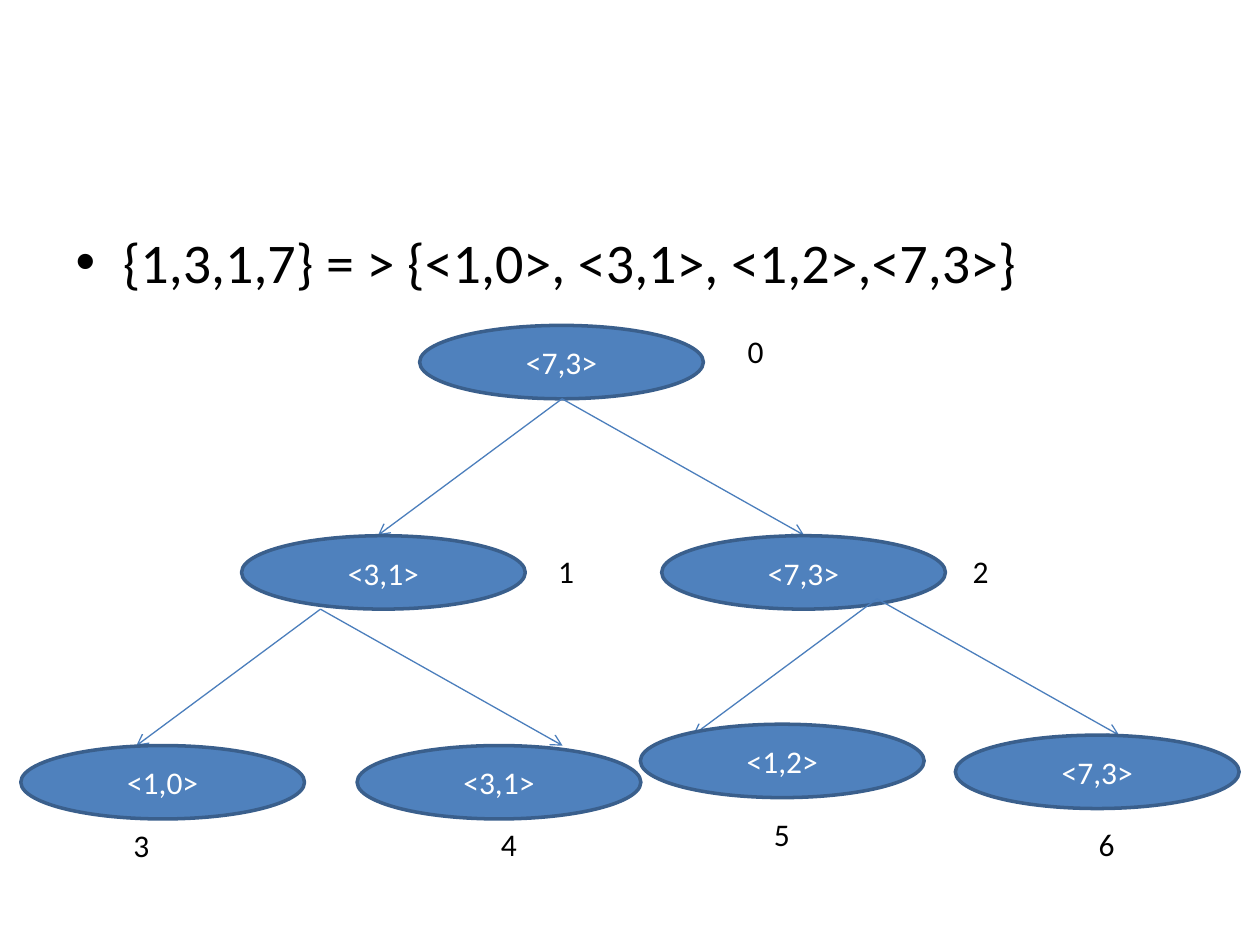
"""Build a slide showing a max segment tree over value and index pairs."""
import pptx
import pptx.util
import pptx.dml.color
import pptx.enum.shapes
import pptx.enum.text
import pptx.oxml.ns
import lxml.etree

Cm, Pt = pptx.util.Cm, pptx.util.Pt
RGB = pptx.dml.color.RGBColor.from_string
SHAPE = pptx.enum.shapes.MSO_SHAPE
CONNECTOR = pptx.enum.shapes.MSO_CONNECTOR
ALIGN = pptx.enum.text.PP_ALIGN
ANCHOR = pptx.enum.text.MSO_ANCHOR
qn = pptx.oxml.ns.qn

THEME = {
    "font": "Calibri", "body_size": Pt(32), "node_size": Pt(18),
    "fill": RGB("4F81BD"), "outline": RGB("3A5F8C"), "arrow": RGB("4B7EBC"),
    "dark": RGB("000000"), "light": RGB("FFFFFF"),
    "outline_width": Pt(2), "arrow_width": Pt(0.75),
}
NODE_W, NODE_H = 5.72, 1.48
LABEL_W, LABEL_H = 0.97, 1.03
FORK_DX, FORK_DY = (4.88, -3.71), 2.75

LEVELS = [
    {"nodes": [("<7,3>", 8.46, 6.56)],
     "labels": [("0", 14.82, 6.56)],
     "forks": [(11.33, 8.04)]},
    {"nodes": [("<3,1>", 4.87, 10.8), ("<7,3>", 13.34, 10.8)],
     "labels": [("1", 11, 11), ("2", 19.36, 11)],
     "forks": [(6.46, 12.28), (17.68, 12.07)]},
    {"nodes": [("<1,0>", 0.42, 15.03), ("<3,1>", 7.2, 15.03),
               ("<1,2>", 12.91, 14.6), ("<7,3>", 19.26, 14.82)],
     "labels": [("3", 2.44, 16.53), ("4", 9.85, 16.51),
                ("5", 15.35, 16.3), ("6", 21.9, 16.51)],
     "forks": []},
]


def write(sp, text, size, color, align=ALIGN.LEFT):
    tf = sp.text_frame
    p = tf.paragraphs[0]
    p.alignment = align
    p.space_before = Pt(0)
    r = p.add_run()
    r.text = text
    for name, value in {"name": THEME["font"], "size": size}.items():
        setattr(r.font, name, value)
    r.font.color.rgb = color
    return tf


prs = pptx.Presentation()
prs.slide_width, prs.slide_height = Cm(25.4), Cm(19.05)
s = prs.slides.add_slide(prs.slide_layouts[1])
title = s.shapes.title
title.element.getparent().remove(title.element)

body = s.placeholders[1]
place = {"left": Cm(1.27), "top": Cm(4.45), "width": Cm(22.86), "height": Cm(12.57)}
for name, value in place.items():
    setattr(body, name, value)
write(body, "{1,3,1,7} = > {<1,0>, <3,1>, <1,2>,<7,3>}",
      THEME["body_size"], THEME["dark"])

for level in LEVELS:
    for text, x, y in level["nodes"]:
        sp = s.shapes.add_shape(SHAPE.OVAL, Cm(x), Cm(y), Cm(NODE_W), Cm(NODE_H))
        sp.shadow.inherit = False
        sp.fill.solid()
        sp.fill.fore_color.rgb = THEME["fill"]
        sp.line.color.rgb = THEME["outline"]
        sp.line.width = THEME["outline_width"]
        tf = write(sp, text, THEME["node_size"], THEME["light"], ALIGN.CENTER)
        tf.vertical_anchor = ANCHOR.MIDDLE

    for x, y in level["forks"]:
        for dx in FORK_DX:
            line = s.shapes.add_connector(CONNECTOR.STRAIGHT, Cm(x), Cm(y),
                                          Cm(x + dx), Cm(y + FORK_DY))
            line.line.color.rgb = THEME["arrow"]
            line.line.width = THEME["arrow_width"]
            ln = line.line._get_or_add_ln()
            lxml.etree.SubElement(ln, qn("a:tailEnd"), type="arrow")
            lxml.etree.SubElement(line.element.spPr, qn("a:effectLst"))

    for text, x, y in level["labels"]:
        sp = s.shapes.add_textbox(Cm(x), Cm(y), Cm(LABEL_W), Cm(LABEL_H))
        tf = write(sp, text, THEME["node_size"], THEME["dark"])
        tf.word_wrap = True
        tf.auto_size = pptx.enum.text.MSO_AUTO_SIZE.SHAPE_TO_FIT_TEXT

prs.save("out.pptx")
